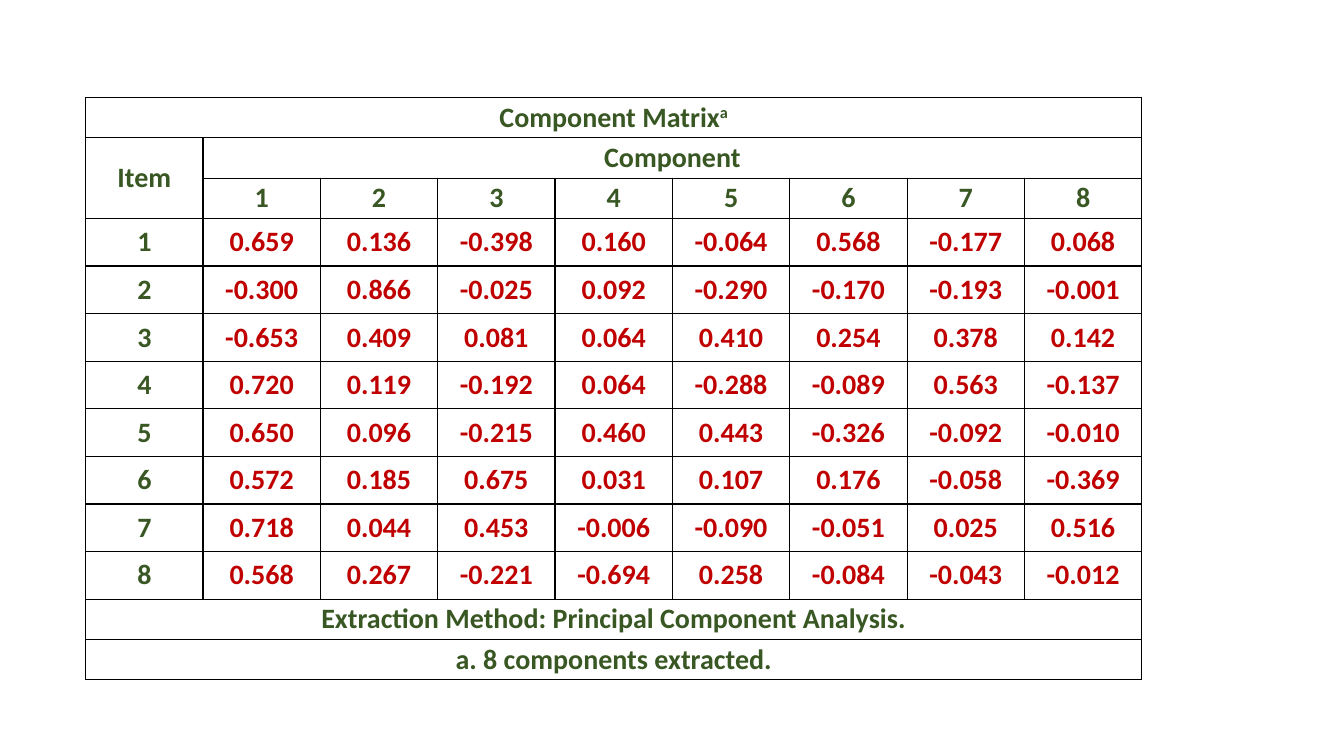
from lxml import etree
from pptx import Presentation
from pptx.dml.color import RGBColor
from pptx.enum.text import MSO_ANCHOR, PP_ALIGN
from pptx.oxml.ns import qn
from pptx.util import Pt

CENTER = PP_ALIGN.CENTER
MIDDLE = MSO_ANCHOR.MIDDLE
GREEN = RGBColor(0x38, 0x57, 0x23)
RED = RGBColor(0xC0, 0x00, 0x00)
WHITE = RGBColor(0xFF, 0xFF, 0xFF)
BLACK = RGBColor(0x00, 0x00, 0x00)

LOADINGS = [
    ["0.659", "0.136", "-0.398", "0.160", "-0.064", "0.568", "-0.177", "0.068"],
    ["-0.300", "0.866", "-0.025", "0.092", "-0.290", "-0.170", "-0.193", "-0.001"],
    ["-0.653", "0.409", "0.081", "0.064", "0.410", "0.254", "0.378", "0.142"],
    ["0.720", "0.119", "-0.192", "0.064", "-0.288", "-0.089", "0.563", "-0.137"],
    ["0.650", "0.096", "-0.215", "0.460", "0.443", "-0.326", "-0.092", "-0.010"],
    ["0.572", "0.185", "0.675", "0.031", "0.107", "0.176", "-0.058", "-0.369"],
    ["0.718", "0.044", "0.453", "-0.006", "-0.090", "-0.051", "0.025", "0.516"],
    ["0.568", "0.267", "-0.221", "-0.694", "0.258", "-0.084", "-0.043", "-0.012"],
]
COMPONENTS = [str(number) for number in range(1, 9)]
HEADER_ROWS = 3
FOOTER_ROWS = 2
LABEL_HEIGHT = 28.6
LOADING_HEIGHT = 34.0


class SlideBuilder:
    font_name = "Calibri"
    font_size = Pt(20)
    margin = Pt(2.16)
    border_width = Pt(1)

    def __init__(self, slide):
        self.slide = slide

    def table(self, left, top, width, row_heights, column_count):
        frame = self.slide.shapes.add_table(
            len(row_heights), column_count, Pt(left), Pt(top),
            Pt(width), Pt(sum(row_heights)))
        grid = frame.table
        grid.first_row = False
        grid.horz_banding = False
        for row, height in zip(grid.rows, row_heights):
            row.height = Pt(height)
        for column in grid.columns:
            column.width = Pt(width / column_count)
        return grid

    def borders(self, cell):
        properties = cell._tc.get_or_add_tcPr()
        for side in ("a:lnL", "a:lnR", "a:lnT", "a:lnB"):
            line = etree.SubElement(properties, qn(side), w=str(self.border_width))
            fill = etree.SubElement(line, qn("a:solidFill"))
            etree.SubElement(fill, qn("a:srgbClr"), val=str(BLACK))

    def cell(self, cell, text, color):
        self.borders(cell)
        cell.fill.solid()
        cell.fill.fore_color.rgb = WHITE
        cell.margin_left = cell.margin_right = self.margin
        cell.margin_top = cell.margin_bottom = self.margin
        cell.vertical_anchor = MIDDLE
        paragraph = cell.text_frame.paragraphs[0]
        if text:
            paragraph.add_run().text = text
        paragraph.alignment = CENTER
        paragraph.font.name = self.font_name
        paragraph.font.size = self.font_size
        paragraph.font.bold = True
        paragraph.font.color.rgb = color

    def superscript(self, cell, text):
        mark = cell.text_frame.paragraphs[0].add_run()
        mark.text = text
        mark._r.get_or_add_rPr().set("baseline", "30000")


def main():
    presentation = Presentation()
    presentation.slide_width = Pt(960)
    presentation.slide_height = Pt(540)
    builder = SlideBuilder(presentation.slides.add_slide(presentation.slide_layouts[6]))

    blank = [""] * len(COMPONENTS)
    content = [
        ["Component Matrix"] + blank,
        ["Item", "Component"] + blank[1:],
        [""] + COMPONENTS,
        *([item] + values for item, values in zip(COMPONENTS, LOADINGS)),
        ["Extraction Method: Principal Component Analysis."] + blank,
        ["a. 8 components extracted."] + blank,
    ]
    heights = ([LABEL_HEIGHT] * HEADER_ROWS + [LOADING_HEIGHT] * len(LOADINGS)
               + [LABEL_HEIGHT] * FOOTER_ROWS)
    matrix = builder.table(61.2, 69.6, 754.4, heights, len(COMPONENTS) + 1)

    loading_rows = range(HEADER_ROWS, HEADER_ROWS + len(LOADINGS))
    for row, texts in enumerate(content):
        for column, text in enumerate(texts):
            color = RED if row in loading_rows and column else GREEN
            builder.cell(matrix.cell(row, column), text, color)
    builder.superscript(matrix.cell(0, 0), "a")

    last_row, last_column = len(content) - 1, len(COMPONENTS)
    for row in (0, last_row - 1, last_row):
        matrix.cell(row, 0).merge(matrix.cell(row, last_column))
    matrix.cell(1, 0).merge(matrix.cell(2, 0))
    matrix.cell(1, 1).merge(matrix.cell(1, last_column))

    presentation.save("out.pptx")


if __name__ == "__main__":
    main()
